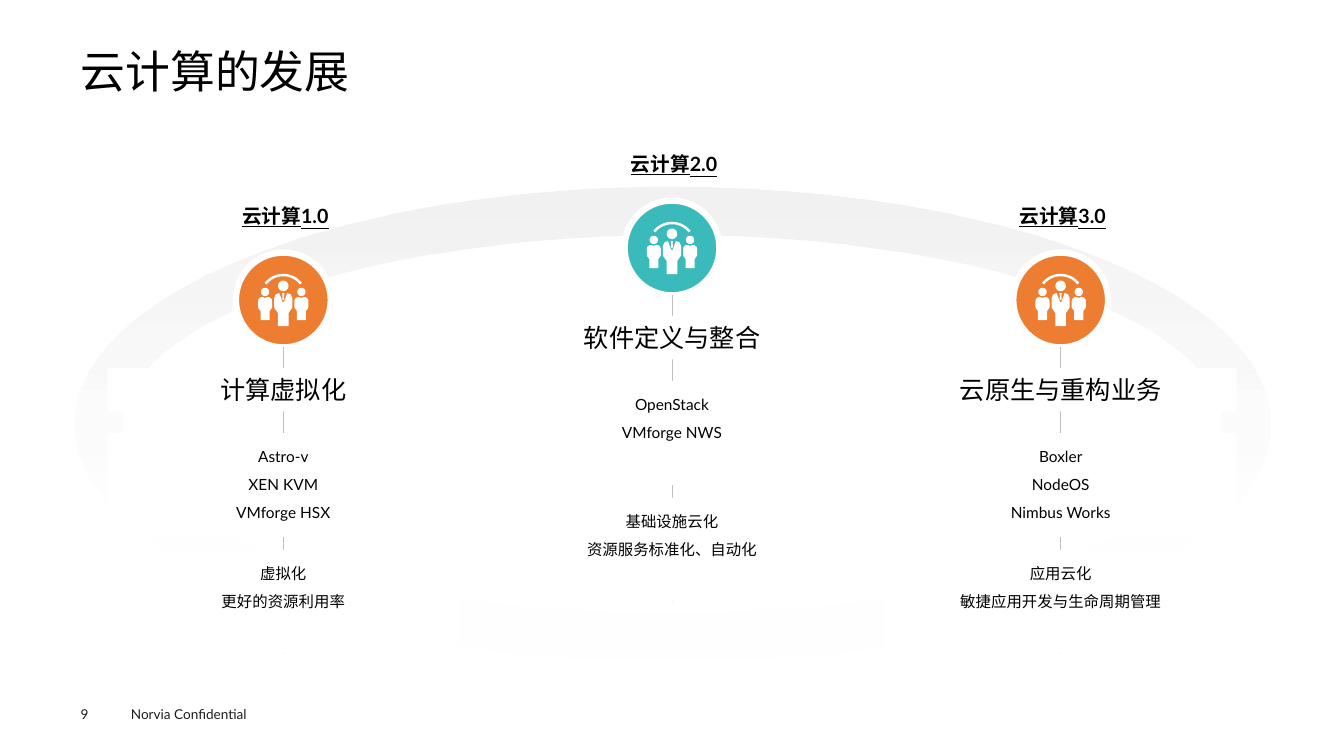
"""Build the slide on the three stages of cloud computing."""
from dataclasses import dataclass
from math import cos, radians, sin

from lxml.etree import SubElement
from pptx import Presentation
from pptx.dml.color import RGBColor
from pptx.enum.shapes import MSO_CONNECTOR, MSO_SHAPE
from pptx.enum.text import MSO_ANCHOR, MSO_AUTO_SIZE, PP_ALIGN
from pptx.oxml.ns import qn
from pptx.util import Inches, Pt

WIDTH, HEIGHT = Inches(13.33), Inches(7.5)
COLUMN_PITCH, SIDE_DROP = 28.92, 6.88
CENTRE_X, CENTRE_Y = 50, 32.8
PANEL_WIDTH, BADGE_WIDTH, BADGE_HEIGHT = 26.17, 7.05, 12.53


@dataclass(frozen=True)
class Theme:
    font: str = "Lato"
    ink: str = "000000"
    footer_ink: str = "1D1D1B"
    paper: str = "FFFFFF"
    ring: str = "F2F2F2"
    thread: str = "BFBFBF"
    side: str = "ED7D31"
    middle: str = "3ABABA"
    title_size: float = 32
    heading_size: float = 18
    label_size: float = 14
    body_size: float = 11
    footer_size: float = 9.7


THEME = Theme()

STAGES = [
    ("云计算1.0", "计算虚拟化", ["Astro-v", "XEN KVM", "VMforge HSX"],
     ["虚拟化", "更好的资源利用率"]),
    ("云计算2.0", "软件定义与整合", ["OpenStack", "VMforge NWS"],
     ["基础设施云化", "资源服务标准化、自动化"]),
    ("云计算3.0", "云原生与重构业务", ["Boxler", "NodeOS", "Nimbus Works"],
     ["应用云化", "敏捷应用开发与生命周期管理"]),
]

LEADER_HALF = [(7, 20), (40, -70), (50, -65), (75, -55), (90, -20), (90, 70),
               (87, 80), (53, 130), (53, 260)]
TIE_HALF = [(7, -70), (15, -60), (7, -50), (10, -10), (0, 5)]
MEMBER_HALF = [(0, -20), (25, -30), (45, -27), (65, -10), (70, 10), (70, 70),
               (67, 80), (45, 110), (45, 195), (40, 200)]
MEMBER_OFFSET = 180


def across(percent):
    """Turn a percentage of the slide's width into a length."""
    return round(WIDTH * percent / 100)


def down(percent):
    """Turn a percentage of the slide's height into a length."""
    return round(HEIGHT * percent / 100)


def box(left, top, width, height):
    """Turn percentages of the slide into a position and size."""
    return across(left), down(top), across(width), down(height)


def colour(name):
    """Look up a hexadecimal colour."""
    return RGBColor.from_string(name)


def write(frame, lines, size, ink=THEME.ink, align=PP_ALIGN.CENTER,
          anchor=MSO_ANCHOR.MIDDLE, spacing=1.0, marked=False):
    """Fill a text frame with uniformly formatted lines."""
    frame.text = "\n".join(lines)
    frame.word_wrap = True
    frame.auto_size = MSO_AUTO_SIZE.NONE
    frame.vertical_anchor = anchor
    for paragraph in frame.paragraphs:
        paragraph.alignment = align
        paragraph.line_spacing = spacing
        for run in paragraph.runs:
            run.font.name = THEME.font
            run.font.size = Pt(size)
            run.font.color.rgb = colour(ink)
            run.font.bold = marked
            run.font.underline = marked


def clear_margins(frame):
    """Remove the inner margins of a text frame."""
    frame.margin_left = frame.margin_right = 0
    frame.margin_top = frame.margin_bottom = 0


def add_title(slide, text):
    """Place and format the title placeholder."""
    title = slide.shapes.title
    title.left, title.top, title.width, title.height = box(6, 6.53, 88, 7.2)
    write(title.text_frame, [text], THEME.title_size, align=PP_ALIGN.LEFT,
          anchor=MSO_ANCHOR.TOP, spacing=0.9)
    clear_margins(title.text_frame)


def add_footer(slide, owner, number):
    """Add the confidentiality line and the page number."""
    places = [(owner, box(9, 92.67, 12, 3.6)), (number, box(6, 93.33, 4.13, 2.13))]
    for text, place in places:
        frame = slide.shapes.add_textbox(*place).text_frame
        write(frame, [text], THEME.footer_size, THEME.footer_ink, PP_ALIGN.LEFT,
              MSO_ANCHOR.TOP)
    clear_margins(frame)


def add_filled(slide, preset, place, fill):
    """Add a preset shape with a plain fill and no line or shadow."""
    shape = slide.shapes.add_shape(preset, *place)
    shape.shadow.inherit = False
    shape.fill.solid()
    shape.fill.fore_color.rgb = colour(fill)
    shape.line.fill.background()
    return shape


def add_ring(slide):
    """Add the wide ring that fades out towards its foot."""
    ring = add_filled(slide, MSO_SHAPE.DONUT, box(5.55, 24.67, 88.95, 62.8), THEME.ring)
    ring.adjustments[0] = 0.103
    ring.fill.gradient()
    ring.fill.gradient_angle = 270
    for stop, tint, position in zip(ring.fill.gradient_stops,
                                    (THEME.ring, THEME.paper), (0, 1)):
        stop.color.rgb = colour(tint)
        stop.position = position
    foot = list(ring.element.iter(qn("a:srgbClr")))[1]
    SubElement(foot, qn("a:alpha"), val="0")


def arc(centre_x, centre_y, radius, start, end, steps=24):
    """List points along an arc, in degrees clockwise from the top."""
    angles = [radians(start + (end - start) * step / steps) for step in range(steps + 1)]
    return [(centre_x + radius * sin(a), centre_y - radius * cos(a)) for a in angles]


def mirrored(half, offset=0):
    """Complete a right-hand outline with its reflection."""
    outline = half + [(-x, y) for x, y in reversed(half)]
    return [(x + offset, y) for x, y in outline]


def team_outlines():
    """List the outlines of a leader, two members and the arc above them."""
    outlines = [mirrored(LEADER_HALF), mirrored(TIE_HALF), arc(0, -140, 52, 0, 360),
                arc(0, -25, 235, -52, 52) + arc(0, -25, 210, 52, -52)]
    for offset in (-MEMBER_OFFSET, MEMBER_OFFSET):
        outlines += [mirrored(MEMBER_HALF, offset), arc(offset, -80, 41, 0, 360)]
    return outlines


def add_badge(slide, x, y, fill):
    """Add a round badge with the team figure, centred on a point."""
    badge = add_filled(slide, MSO_SHAPE.OVAL, box(
        x - BADGE_WIDTH / 2, y - BADGE_HEIGHT / 2, BADGE_WIDTH, BADGE_HEIGHT), fill)
    badge.line.color.rgb = colour(THEME.paper)
    badge.line.width = Pt(4.5)
    first, *others = team_outlines()
    builder = slide.shapes.build_freeform(*first[0], scale=Inches(1) / 1000)
    builder.add_line_segments(first[1:], close=True)
    for outline in others:
        builder.move_to(*outline[0])
        builder.add_line_segments(outline[1:], close=True)
    team = builder.convert_to_shape(across(x), down(y))
    team.shadow.inherit = False
    team.fill.solid()
    team.fill.fore_color.rgb = colour(THEME.paper)
    team.line.fill.background()


def add_thread(slide, x, top, bottom):
    """Add the thin vertical line that ties a stage together."""
    thread = slide.shapes.add_connector(
        MSO_CONNECTOR.STRAIGHT, across(x), down(top), across(x), down(bottom))
    thread.line.color.rgb = colour(THEME.thread)
    thread.line.width = Pt(0.25)
    SubElement(thread.element.spPr, qn("a:effectLst"))
    return thread


def add_panel(slide, x, top, height, lines, size, **style):
    """Add a white panel of text centred on a column."""
    panel = add_filled(slide, MSO_SHAPE.RECTANGLE,
                       box(x - PANEL_WIDTH / 2, top, PANEL_WIDTH, height), THEME.paper)
    write(panel.text_frame, lines, size, **style)
    return panel


def add_stage(slide, x, y, fill, stage):
    """Add one stage, hung from the centre of its badge."""
    label, heading, technologies, outcome = stage
    add_badge(slide, x, y, fill)
    caption = slide.shapes.add_textbox(*box(x - 4.35, y - 14.13, 9, 5.87))
    write(caption.text_frame, [label], THEME.label_size, marked=True)
    thread = add_thread(slide, x, y + BADGE_HEIGHT / 2, y + 46.8)
    body = {"anchor": MSO_ANCHOR.TOP, "spacing": 1.5}
    add_panel(slide, x, y + 17.6, 13.73, technologies, THEME.body_size, **body)
    add_panel(slide, x, y + 9, 5.73, [heading], THEME.heading_size)
    result = add_panel(slide, x, y + 33.07, 13.73, outcome, THEME.body_size, **body)
    thread.end_connect(result, 2)


def main():
    """Build and save the presentation."""
    deck = Presentation()
    deck.slide_width, deck.slide_height = WIDTH, HEIGHT
    slide = deck.slides.add_slide(deck.slide_layouts[5])
    add_title(slide, "云计算的发展")
    add_footer(slide, "Norvia Confidential", "9")
    add_ring(slide)
    for column, stage in zip((-1, 0, 1), STAGES):
        add_stage(slide, CENTRE_X + column * COLUMN_PITCH,
                  CENTRE_Y + abs(column) * SIDE_DROP,
                  THEME.side if column else THEME.middle, stage)
    deck.save("out.pptx")


if __name__ == "__main__":
    main()
